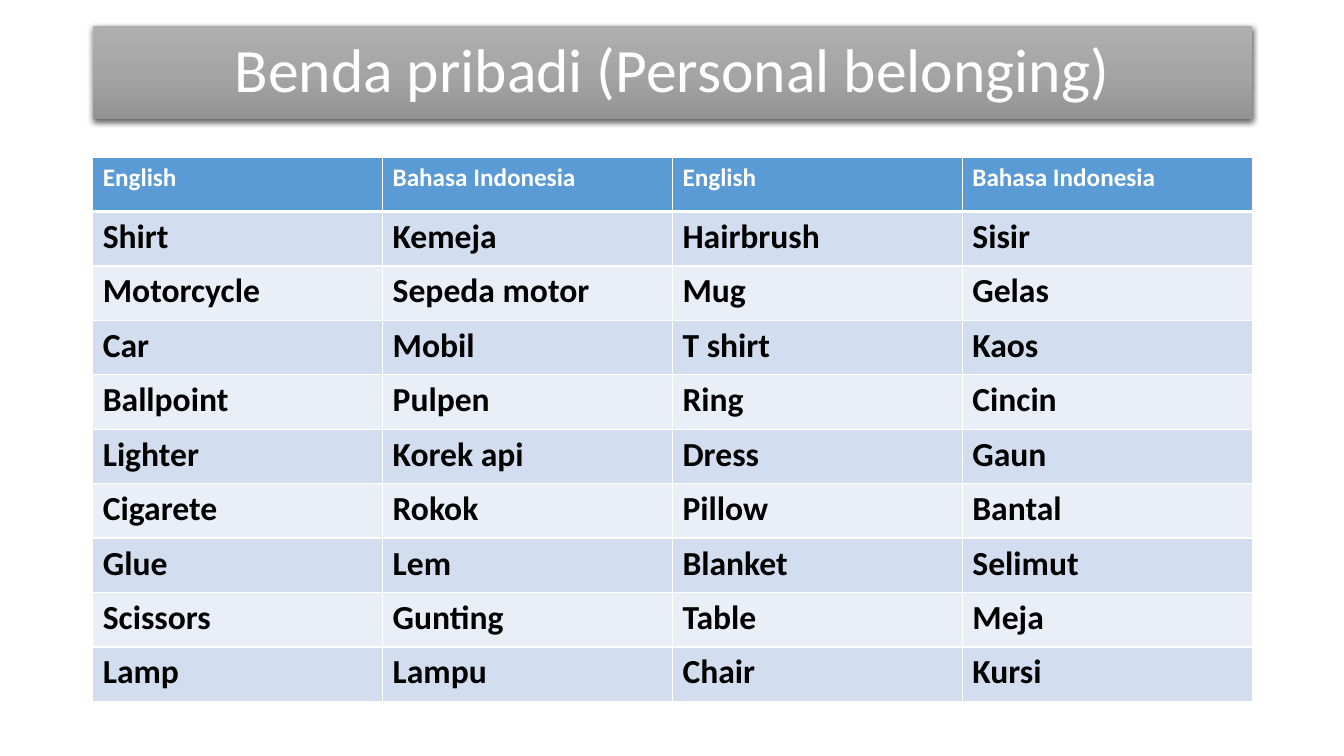
from pptx import Presentation
from pptx.dml.color import RGBColor
from pptx.enum.shapes import MSO_SHAPE as Shape
from pptx.enum.text import MSO_ANCHOR as Anchor, PP_ALIGN as Align
from pptx.oxml import parse_xml
from pptx.oxml.ns import nsdecls
from pptx.util import Inches, Pt

LEFT, WIDTH = 0.92, 11.5
ROW_HEIGHT = 0.54
HEADER_FILL = "5B9BD5"
BAND_FILLS = ["D2DEEF", "EAEFF7"]
TITLE_STOPS = [(0, "AFAFAF"), (50, "A5A5A5"), (100, "939393")]
BELONGINGS = [
    ("English", "Bahasa Indonesia", "English", "Bahasa Indonesia"),
    ("Shirt", "Kemeja", "Hairbrush", "Sisir"),
    ("Motorcycle", "Sepeda motor", "Mug", "Gelas"),
    ("Car", "Mobil", "T shirt", "Kaos"),
    ("Ballpoint", "Pulpen", "Ring", "Cincin"),
    ("Lighter", "Korek api", "Dress", "Gaun"),
    ("Cigarete", "Rokok", "Pillow", "Bantal"),
    ("Glue", "Lem", "Blanket", "Selimut"),
    ("Scissors", "Gunting", "Table", "Meja"),
    ("Lamp", "Lampu", "Chair", "Kursi"),
]


def color(value):
    return RGBColor.from_string(value)


def write(frame, text, size, fill, bold=False, align=Align.LEFT, spacing=None):
    para = frame.paragraphs[0]
    para.alignment = align
    para.line_spacing = spacing
    span = para.add_run()
    span.text = text
    span.font.name = "Calibri"
    span.font.size = Pt(size)
    span.font.bold = bold
    span.font.color.rgb = color(fill)


def fill_gradient(box, stops):
    marks = "".join(
        f'<a:gs pos="{place * 1000}"><a:srgbClr val="{value}"/></a:gs>'
        for place, value in stops
    )
    box.element.spPr.append(parse_xml(
        f'<a:gradFill {nsdecls("a")} rotWithShape="1"><a:gsLst>{marks}</a:gsLst>'
        '<a:lin ang="5400000" scaled="0"/></a:gradFill>'
    ))


def add_shadow(box, blur, distance, opacity):
    box.shadow.inherit = False
    effects = box.element.spPr.find("{*}effectLst")
    effects.append(parse_xml(
        f'<a:outerShdw {nsdecls("a")} blurRad="{Pt(blur)}" dist="{Pt(distance)}" '
        'dir="5400000" algn="ctr" rotWithShape="0"><a:srgbClr val="000000">'
        f'<a:alpha val="{opacity * 1000}"/></a:srgbClr></a:outerShdw>'
    ))


def add_title(page, text):
    box = page.shapes.add_shape(
        Shape.RECTANGLE, Inches(LEFT), Inches(0.26), Inches(WIDTH), Inches(0.92)
    )
    fill_gradient(box, TITLE_STOPS)
    box.line.fill.background()
    add_shadow(box, blur=4.5, distance=1.5, opacity=63)
    box.text_frame.word_wrap = True
    box.text_frame.vertical_anchor = Anchor.MIDDLE
    write(box.text_frame, text, 44, "FFFFFF", align=Align.CENTER, spacing=0.9)


def set_borders(cell, top, bottom):
    widths = {"lnL": 1, "lnR": 1, "lnT": top, "lnB": bottom}
    properties = cell._tc.get_or_add_tcPr()
    for index, (side, width) in enumerate(widths.items()):
        properties.insert(index, parse_xml(
            f'<a:{side} {nsdecls("a")} w="{Pt(width)}"><a:solidFill>'
            f'<a:srgbClr val="FFFFFF"/></a:solidFill></a:{side}>'
        ))


def add_word_table(page, rows):
    columns = len(rows[0])
    table = page.shapes.add_table(
        len(rows), columns, Inches(LEFT), Inches(1.56),
        Inches(WIDTH), Inches(ROW_HEIGHT * len(rows)),
    ).table
    for column in table.columns:
        column.width = Inches(WIDTH / columns)
    for r, words in enumerate(rows):
        header = r == 0
        table.rows[r].height = Inches(ROW_HEIGHT)
        for c, word in enumerate(words):
            cell = table.cell(r, c)
            cell.fill.solid()
            cell.fill.fore_color.rgb = color(HEADER_FILL if header else BAND_FILLS[(r - 1) % 2])
            set_borders(cell, top=3 if r == 1 else 1, bottom=3 if header else 1)
            write(cell.text_frame, word, 18 if header else 24,
                  "FFFFFF" if header else "000000", bold=True)


def main():
    deck = Presentation()
    deck.slide_width, deck.slide_height = Inches(13.33), Inches(7.5)
    page = deck.slides.add_slide(deck.slide_layouts[6])
    add_title(page, "Benda pribadi (Personal belonging)")
    add_word_table(page, BELONGINGS)
    deck.save("out.pptx")


if __name__ == "__main__":
    main()
